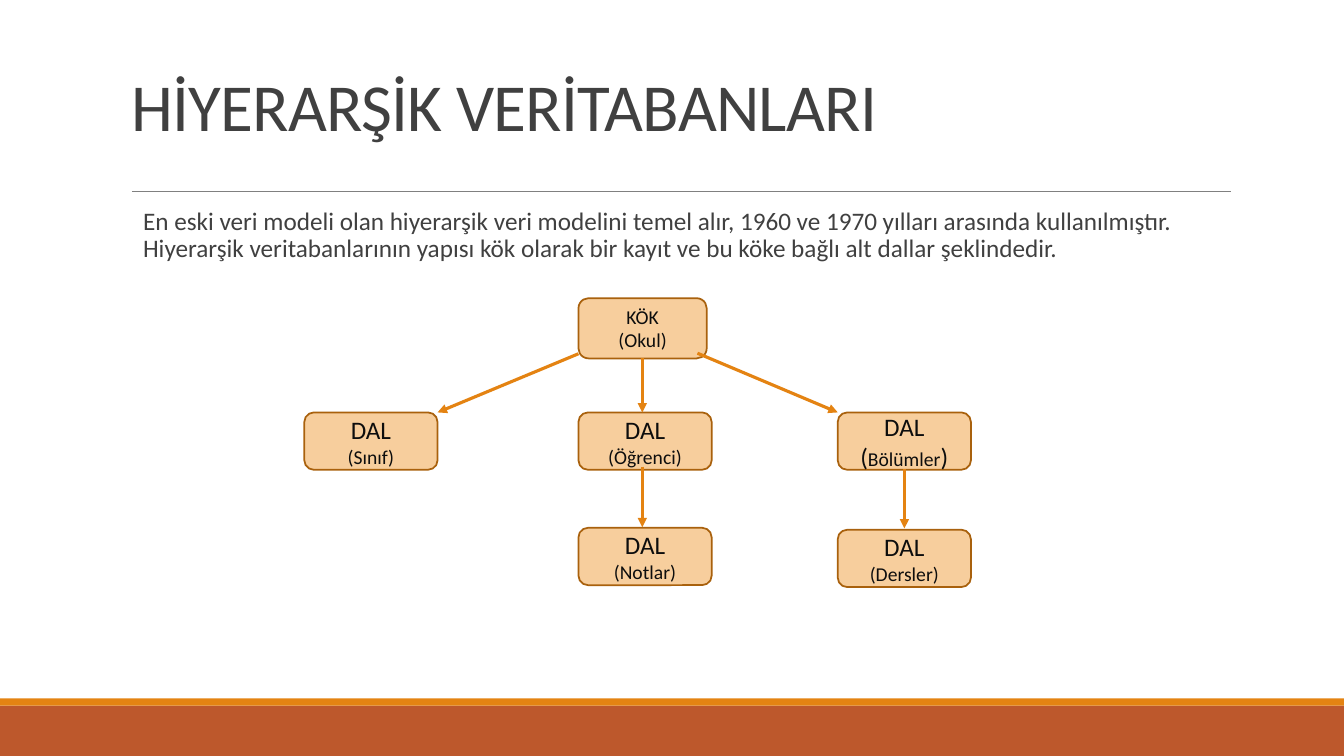
from lxml import etree
from pptx import Presentation
from pptx.dml.color import RGBColor
from pptx.enum.shapes import MSO_CONNECTOR, MSO_SHAPE
from pptx.enum.text import MSO_ANCHOR, MSO_AUTO_SIZE, PP_ALIGN
from pptx.oxml.ns import qn
from pptx.util import Pt

STRAIGHT = MSO_CONNECTOR.STRAIGHT
RECTANGLE, ROUNDED = MSO_SHAPE.RECTANGLE, MSO_SHAPE.ROUNDED_RECTANGLE
MIDDLE, TOP = MSO_ANCHOR.MIDDLE, MSO_ANCHOR.TOP
CENTER, LEFT = PP_ALIGN.CENTER, PP_ALIGN.LEFT
NO_AUTOFIT = MSO_AUTO_SIZE.NONE

FONT = "Calibri"
COLORS = {
    "band": "BD582C", "accent": "E48312", "rule": "808080",
    "text": "404040", "node": "F7CE9D", "node_line": "A9610D", "node_text": "0D0D0D",
}
COLORS = {name: RGBColor.from_string(value) for name, value in COLORS.items()}


def add_line(start, end, color, width, arrow=False):
    """Draw a straight line between two points, with an arrowhead if asked."""
    connector = slide.shapes.add_connector(STRAIGHT, *map(Pt, start + end))
    connector.line.color.rgb = COLORS[color]
    connector.line.width = Pt(width)
    if arrow:
        etree.SubElement(connector.line._get_or_add_ln(), qn("a:tailEnd"), type="triangle")
    etree.SubElement(connector._element.spPr, qn("a:effectLst"))


def fill_placeholder(placeholder, box, text, size, anchor):
    """Place a placeholder, fill it with one paragraph and return the paragraph."""
    placeholder.left, placeholder.top, placeholder.width, placeholder.height = map(Pt, box)
    frame = placeholder.text_frame
    frame.text = text
    frame.auto_size = NO_AUTOFIT
    frame.vertical_anchor = anchor
    paragraph = frame.paragraphs[0]
    paragraph.alignment = LEFT
    paragraph.font.name = FONT
    paragraph.font.size = Pt(size)
    paragraph.font.color.rgb = COLORS["text"]
    return paragraph


presentation = Presentation()
presentation.slide_width, presentation.slide_height = Pt(960), Pt(540)
slide = presentation.slides.add_slide(presentation.slide_layouts[1])
title, body = slide.placeholders

# Footer bands and the rule under the title
for top, height, color in [(504, 36, "band"), (498.8, 5.2, "accent")]:
    band = slide.shapes.add_shape(RECTANGLE, 0, Pt(top), Pt(960), Pt(height))
    band.shadow.inherit = False
    band.fill.solid()
    band.fill.fore_color.rgb = COLORS[color]
    band.line.fill.background()
add_line((94.3, 136.6), (879, 136.6), "rule", 0.5)

# Title and introduction
paragraph = fill_placeholder(title, (86.4, 22.3, 792, 114.5), "HİYERARŞİK VERİTABANLARI", 48, MIDDLE)
paragraph.line_spacing = 0.85
paragraph.runs[0].font._element.set("spc", "-50")

paragraph = fill_placeholder(
    body, (86.4, 145.4, 792, 316.8),
    "En eski veri modeli olan hiyerarşik veri modelini temel alır, 1960 ve 1970 yılları "
    "arasında kullanılmıştır. Hiyerarşik veritabanlarının yapısı kök olarak bir kayıt ve "
    "bu köke bağlı alt dallar şeklindedir.", 18, TOP)
body.text_frame.margin_left = body.text_frame.margin_right = 0
paragraph.line_spacing = 0.9
paragraph.space_before, paragraph.space_after = Pt(2), Pt(4)
properties = paragraph._p.get_or_add_pPr()
properties.set("marL", str(Pt(15.8)))
properties.set("indent", "0")
etree.SubElement(properties, qn("a:buNone"))

# Tree nodes: left, top, width, height, first line, runs of the second line
columns = [217.4, 413.2, 598.4]
branch_top, branch_size = 294.6, (95.2, 41)
nodes = [
    (columns[1], 213, 91.6, 43, ("KÖK", 14), [("(Okul)", 14)]),
    (columns[0], branch_top, *branch_size, ("DAL", 18), [("(Sınıf)", 14)]),
    (columns[1], branch_top, *branch_size, ("DAL", 18), [("(Öğrenci)", 14)]),
    (columns[2], branch_top, *branch_size, ("DAL", 18), [("(", 18), ("Bölümler", 14), (")", 18)]),
    (columns[1], 377, *branch_size, ("DAL", 18), [("(Notlar)", 14)]),
    (columns[2], 378.4, *branch_size, ("DAL", 18), [("(Dersler)", 14)]),
]
for left, top, width, height, heading, detail in nodes:
    node = slide.shapes.add_shape(ROUNDED, Pt(left), Pt(top), Pt(width), Pt(height))
    node.shadow.inherit = False
    node.fill.solid()
    node.fill.fore_color.rgb = COLORS["node"]
    node.line.color.rgb = COLORS["node_line"]
    node.line.width = Pt(1.25)
    node.text_frame.vertical_anchor = MIDDLE
    paragraph = node.text_frame.paragraphs[0]
    paragraph.alignment = CENTER
    paragraph.font.name = FONT
    paragraph.font.color.rgb = COLORS["node_text"]
    for index, (text, size) in enumerate([heading] + detail):
        if index == 1:
            paragraph.add_line_break()
        run = paragraph.add_run()
        run.text = text
        run.font.size = Pt(size)

# Arrows from each node to its children
middle_x, right_x = 458.8, 646
arrows = [
    ((columns[1], 252.7), (columns[0] + branch_size[0], branch_top)),
    ((middle_x, 256), (middle_x, branch_top)),
    ((498.2, 252.3), (columns[2], branch_top)),
    ((middle_x, 333.4), (middle_x, 376.6)),
    ((right_x, 335), (right_x, 377.5)),
]
for start, end in arrows:
    add_line(start, end, "accent", 2.25, arrow=True)

presentation.save("out.pptx")
